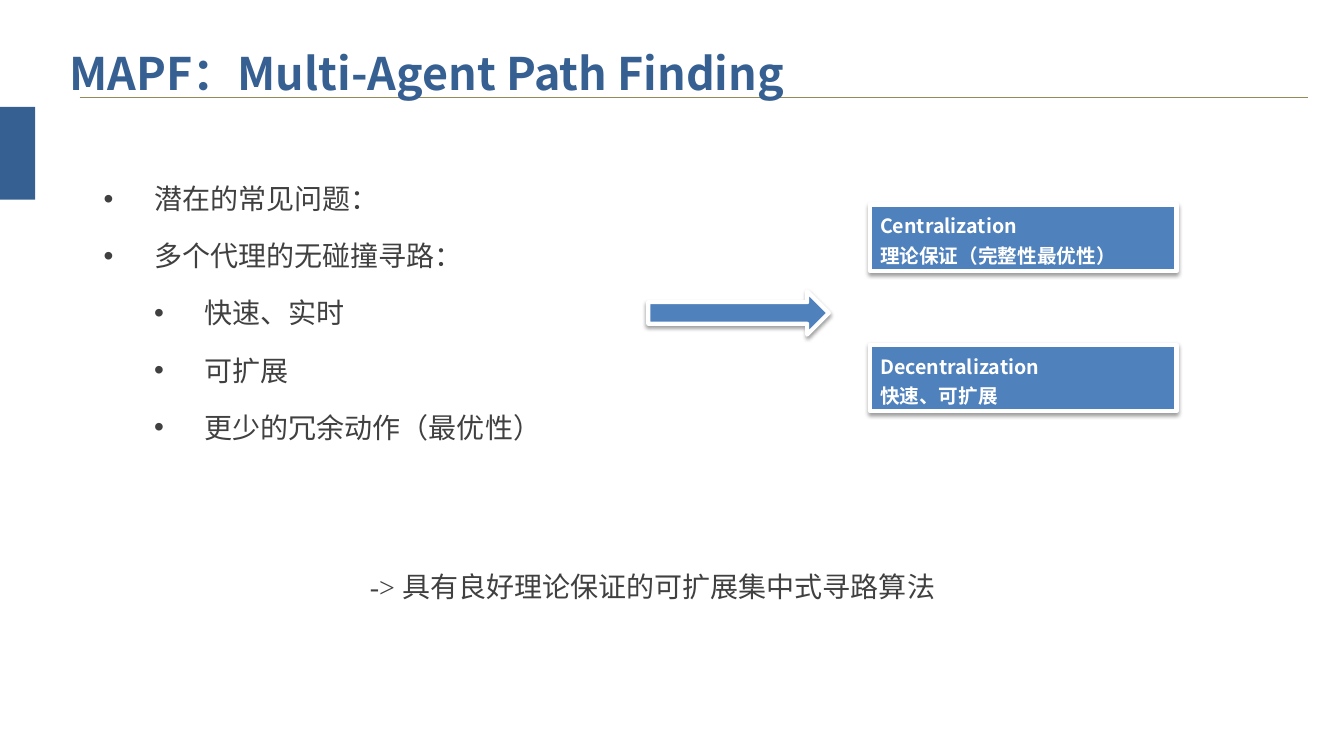
from lxml.etree import SubElement
from pptx import Presentation
from pptx.dml.color import RGBColor
from pptx.enum.shapes import MSO_CONNECTOR, MSO_SHAPE
from pptx.enum.text import MSO_ANCHOR, PP_ALIGN
from pptx.oxml.ns import qn
from pptx.util import Inches, Pt

# Content
TITLE = "MAPF：Multi-Agent Path Finding"
PROBLEMS = [
    (0, "潜在的常见问题："),
    (0, "多个代理的无碰撞寻路："),
    (1, "快速、实时"),
    (1, "可扩展"),
    (1, "更少的冗余动作（最优性）"),
]
CONCLUSION = "-> 具有良好理论保证的可扩展集中式寻路算法"
APPROACHES = [
    ("Centralization", "理论保证（完整性最优性）"),
    ("Decentralization", "快速、可扩展"),
]

# Style
SANS, SERIF = "Noto Sans CJK SC", "Times New Roman"
NAVY, BLUE, GRAY, WHITE, RULE = "376092", "4F81BD", "404040", "FFFFFF", "948A54"


def color(value):
    return RGBColor.from_string(value)


def style(paragraph, name, size, value, spacing, bold=False):
    paragraph.alignment = PP_ALIGN.LEFT
    paragraph.line_spacing = spacing
    paragraph.space_before = Pt(0)
    font = paragraph.font
    font.name, font.size, font.bold = name, Pt(size), bold
    font.color.rgb = color(value)
    for run in paragraph.runs:
        east_asian = SubElement(run._r.get_or_add_rPr(), qn("a:ea"))
        east_asian.set("typeface", SANS)


def add_bullet(paragraph, level):
    paragraph.level = level
    properties = paragraph._p.get_or_add_pPr()
    properties.set("marL", str(Inches(0.5 * (level + 1))))
    properties.set("indent", str(Inches(-0.5)))
    SubElement(properties, qn("a:buFont")).set("typeface", "Arial")
    SubElement(properties, qn("a:buChar")).set("char", "•")


def add_text(slide, box, lines):
    frame = slide.shapes.add_textbox(*map(Inches, box)).text_frame
    frame.word_wrap = True
    for index, (level, text) in enumerate(lines):
        paragraph = frame.paragraphs[0] if index == 0 else frame.add_paragraph()
        paragraph.text = text
        if level is not None:
            add_bullet(paragraph, level)
        style(paragraph, SERIF, 20, GRAY, 1.7)


def add_raised_shape(slide, kind, box):
    shape = slide.shapes.add_shape(kind, *map(Inches, box))
    shape.fill.solid()
    shape.fill.fore_color.rgb = color(BLUE)
    shape.line.color.rgb = color(WHITE)
    shape.line.width = Pt(3)
    # Soft shadow straight below
    effects = SubElement(shape._element.spPr, qn("a:effectLst"))
    shadow = SubElement(effects, qn("a:outerShdw"), blurRad=str(Pt(3.1)),
                        dist=str(Pt(1.6)), dir="5400000", rotWithShape="0")
    black = SubElement(shadow, qn("a:srgbClr"), val="000000")
    SubElement(black, qn("a:alpha"), val="38000")
    return shape


presentation = Presentation()
presentation.slide_width, presentation.slide_height = Inches(13.33), Inches(7.5)
slide = presentation.slides.add_slide(presentation.slide_layouts[5])

# Rule under the title
rule = slide.shapes.add_connector(
    MSO_CONNECTOR.STRAIGHT, Inches(0.79), Inches(0.97), Inches(12.97), Inches(0.97))
rule.line.color.rgb = color(RULE)
rule.line.width = Pt(0.75)
SubElement(rule._element.spPr, qn("a:effectLst"))

# Title, in front of the rule
title = slide.shapes.title
slide.shapes._spTree.append(title._element)
title.left, title.top, title.width, title.height = map(Inches, (0.59, 0.18, 12.43, 0.81))
title.text_frame.text = TITLE
title.text_frame.vertical_anchor = MSO_ANCHOR.MIDDLE
style(title.text_frame.paragraphs[0], SANS, 32, NAVY, 1.5, bold=True)

# Accent block at the left edge
accent = slide.shapes.add_shape(
    MSO_SHAPE.RECTANGLE, 0, Inches(1.06), Inches(0.35), Inches(0.92))
accent.shadow.inherit = False
accent.fill.solid()
accent.fill.fore_color.rgb = color(NAVY)
accent.line.fill.background()

# Problem list and conclusion
add_text(slide, (0.93, 1.52, 12.09, 4.99), PROBLEMS)
add_text(slide, (3.57, 5.37, 9.31, 0.91), [(None, CONCLUSION)])

# Two approaches, reached by an arrow
for row, lines in enumerate(APPROACHES):
    card = add_raised_shape(slide, MSO_SHAPE.RECTANGLE, (8.63, 2.03 + 1.39 * row, 3.04, 0.66))
    frame = card.text_frame
    frame.word_wrap = True
    frame.vertical_anchor = MSO_ANCHOR.MIDDLE
    frame.text = "\n".join(lines)
    for paragraph in frame.paragraphs:
        style(paragraph, SANS, 14, WHITE, 1.25, bold=True)
add_raised_shape(slide, MSO_SHAPE.RIGHT_ARROW, (6.43, 2.89, 1.79, 0.43))

presentation.save("out.pptx")
